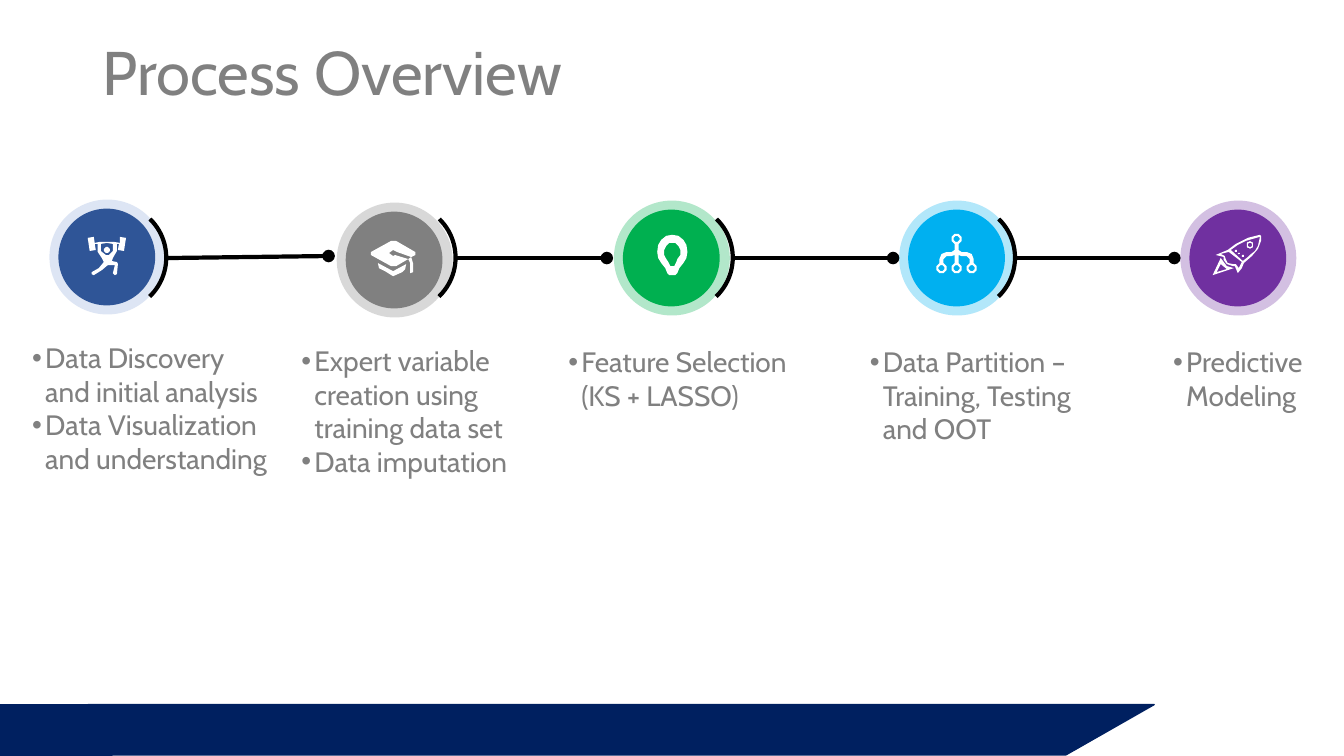
from math import cos, pi, sin

from lxml import etree
from pptx import Presentation
from pptx import util as u
from pptx.dml.color import RGBColor
from pptx.enum import shapes, text
from pptx.oxml import ns

GRID = u.Inches(0.1)
PAGE_COLUMNS, PAGE_ROWS = 133.33, 75
AXIS_ROW = 25.6
ICON_UNIT = u.Inches(0.01)
FONT = "Cabin"
GRAY = RGBColor(0x80, 0x80, 0x80)
NAVY = RGBColor(0x00, 0x20, 0x60)
BLUE = RGBColor(0x2F, 0x55, 0x97)
PALE_BLUE = RGBColor(0x8F, 0xAA, 0xDC)
GREEN = RGBColor(0x00, 0xB0, 0x50)
SKY = RGBColor(0x00, 0xB0, 0xF0)
PURPLE = RGBColor(0x70, 0x30, 0xA0)
BLACK = RGBColor(0, 0, 0)
WHITE = RGBColor(0xFF, 0xFF, 0xFF)


def ring(x, y, radius):
    """Return the outline of a small circle."""
    return [(x + radius * cos(k * pi / 10), y + radius * sin(k * pi / 10)) for k in range(20)]


LIFTER = [
    [(38, 1), (36, 14), (30, 13), (31, 7), (29, 7), (29, 14), (25, 21), (24, 24), (29, 25),
     (30, 27), (29, 37), (27, 38), (25, 36), (27, 28), (20, 28), (14, 33), (6, 38), (4, 37),
     (4, 35), (11, 31), (16, 25), (14, 21), (10, 15), (10, 7), (7, 7), (8, 13), (2, 14),
     (0, 1), (6, 0), (7, 6), (12, 5), (26, 5), (32, 6), (32, 0)],
    [(25, 7), (19, 6), (13, 7), (13, 14), (18, 18), (21, 18), (25, 14)],
    ring(19, 13, 3),
]
CAP = [
    [(8, 23), (9, 28), (15, 31), (23, 36), (32, 32), (35, 29), (36, 24), (23, 31)],
    [(45, 12), (26, 1), (21, 1), (1, 12), (1, 15), (21, 26), (26, 26), (38, 19), (25, 15),
     (23, 16), (19, 13), (23, 10), (27, 12), (41, 17), (45, 15)],
    [(40, 33), (43, 32), (43, 24), (41, 17), (38, 19), (40, 23)],
]
BULB = [
    [(15, 0), (9, 1), (4, 5), (1, 10), (0, 17), (1, 23), (4, 28), (8, 33), (10, 38), (12, 40),
     (18, 40), (20, 38), (22, 33), (26, 28), (29, 23), (30, 17), (29, 10), (26, 5), (21, 1)],
    [(20, 24), (19, 27), (17, 31), (13, 31), (11, 27), (9, 24), (7, 20), (7, 15), (9, 11),
     (12, 8.5), (15, 8), (18, 8.5), (21, 11), (23, 15), (23, 20)],
]
TREE = [
    [(18, 10), (22, 10), (22, 16), (25, 18), (30, 18), (35, 20), (37, 25), (37, 29), (33, 29),
     (33, 25), (30, 22), (25, 22), (22, 21), (22, 29), (18, 29), (18, 21), (15, 22), (10, 22),
     (7, 25), (7, 29), (3, 29), (3, 25), (5, 20), (10, 18), (15, 18), (18, 16)],
    *[ring(x, y, radius) for x, y in ((20, 5), (5, 34), (20, 34), (35, 34)) for radius in (5, 2.7)],
]
ROCKET = [
    [(48, 1), (47, 0), (35, 3), (23, 9), (15, 15), (3, 20), (11, 22), (11, 25), (14, 29),
     (20, 31), (22, 31), (25, 38), (29, 33), (31, 28), (39, 21), (45, 14), (48, 6)],
    [(37, 20), (35, 22), (30, 26), (18, 15), (25, 10), (33, 6), (47, 2), (45, 11), (42, 16)],
    [(8, 19), (16, 17), (29, 27), (26, 33), (23, 29), (20, 29), (15, 28), (13, 24), (12, 21)],
    ring(37, 10, 3.5), ring(37, 10, 2), ring(23, 16, 1), ring(26, 18.5, 1), ring(30, 21, 1),
    [(8, 23), (0, 40), (21, 33), (14, 31)],
    [(4, 37), (8, 29), (14, 34)],
]

STEPS = [
    dict(badge=(4.9, 19.8), color=BLUE, halo=PALE_BLUE, icon=LIFTER, icon_at=(8.7, 23.5),
         arc=5.8, link_end=(32.6, 25.4), notes_box=(2.2, 33.3, 25.5, 14.5),
         notes=["Data Discovery and initial analysis", "Data Visualization and understanding"]),
    dict(badge=(33.4, 20.1), color=GRAY, halo=GRAY, icon=CAP, icon_at=(36.7, 23.8),
         arc=34.5, link_end=(60.2, AXIS_ROW), notes_box=(28.9, 33.6, 25.9, 17.8),
         notes=["Expert variable creation using training data set", "Data imputation"]),
    dict(badge=(60.9, 19.9), color=GREEN, halo=GREEN, icon=BULB, icon_at=(65.2, 23.3),
         arc=62, link_end=(88.6, AXIS_ROW), notes_box=(55.4, 33.7, 25.3, 7.7),
         notes=["Feature Selection (KS + LASSO)"]),
    dict(badge=(89.2, 19.9), color=SKY, halo=SKY, icon=TREE, icon_at=(92.9, 23.2),
         arc=90, link_end=(116.5, AXIS_ROW), notes_box=(85.3, 33.7, 25.9, 11.1),
         notes=["Data Partition – Training, Testing and OOT"]),
    dict(badge=(117.1, 19.9), color=PURPLE, halo=PURPLE, icon=ROCKET, icon_at=(120.3, 23.3),
         arc=None, link_end=None, notes_box=(115.4, 33.7, 21, 7.7),
         notes=["Predictive Modeling"]),
]


def cells(*lengths):
    """Turn grid columns and rows into slide lengths."""
    return [u.Emu(round(length * GRID)) for length in lengths]


def add_solid(page, kind, box, color, alpha=None):
    """Add a filled preset shape without outline."""
    shape = page.shapes.add_shape(kind, *cells(*box))
    shape.shadow.inherit = False
    shape.fill.solid()
    shape.fill.fore_color.rgb = color
    shape.line.fill.background()
    if alpha is not None:
        tint = shape.fill._xPr.find(".//" + ns.qn("a:srgbClr"))
        etree.SubElement(tint, ns.qn("a:alpha"), val=str(alpha * 1000))
    return shape


def add_footer(page, box):
    """Draw the slanted band with its square left end."""
    left, top, width, height = box
    parts = ((shapes.MSO_SHAPE.PARALLELOGRAM, width), (shapes.MSO_SHAPE.RECTANGLE, 11.1))
    for kind, span in parts:
        band = add_solid(page, kind, (left, top, span, height), NAVY)
        band.line.color.rgb = NAVY
        band.line.width = u.Pt(1)
        if kind == shapes.MSO_SHAPE.PARALLELOGRAM:
            band.adjustments[0] = 1.754


def add_text(page, box, lines, size, bullets=False):
    """Write gray paragraphs into a box, with bullets if asked."""
    frame = page.shapes.add_textbox(*cells(*box)).text_frame
    frame.word_wrap = True
    for index, line in enumerate(lines):
        para = frame.paragraphs[0] if index == 0 else frame.add_paragraph()
        para.text = line
        if bullets:
            props = para._p.get_or_add_pPr()
            indent = u.Inches(0.13)
            props.set("marL", str(indent))
            props.set("indent", str(-indent))
            etree.SubElement(props, ns.qn("a:buFont"), typeface="Arial")
            etree.SubElement(props, ns.qn("a:buChar"), char="•")
        para.font.name = FONT
        para.font.size = u.Pt(size)
        para.font.color.rgb = GRAY
    return frame


def add_title(page, box):
    """Write the slide title, centred in height."""
    frame = add_text(page, box, ["Process Overview"], 44)
    frame.vertical_anchor = text.MSO_ANCHOR.MIDDLE
    frame.paragraphs[0].line_spacing = 0.9


def add_icon(page, corner, outlines):
    """Draw a white icon from closed outlines."""
    first, *others = outlines
    builder = page.shapes.build_freeform(*first[0], scale=ICON_UNIT)
    builder.add_line_segments(first[1:], close=True)
    for outline in others:
        builder.move_to(*outline[0])
        builder.add_line_segments(outline[1:], close=True)
    icon = builder.convert_to_shape(*cells(*corner))
    icon.shadow.inherit = False
    icon.fill.solid()
    icon.fill.fore_color.rgb = WHITE
    icon.line.fill.background()


def add_badge(page, box, step):
    """Draw a disc with a pale halo and its icon."""
    left, top, width, height = box
    add_solid(page, shapes.MSO_SHAPE.OVAL, box, step["halo"], 30)
    add_solid(page, shapes.MSO_SHAPE.OVAL, (left + 0.9, top + 0.9, width - 1.9, height - 1.8), step["color"])
    add_icon(page, step["icon_at"], step["icon"])


def add_link(page, box, end):
    """Draw an arc and a dotted-end line to the next step."""
    left, top, width, height = box
    arc = page.shapes.add_shape(shapes.MSO_SHAPE.ARC, *cells(*box))
    arc.shadow.inherit = False
    arc.rotation = 270
    arc.adjustments[0], arc.adjustments[1] = 26.572, 81.761
    arc.fill.background()
    start = (left + width + 0.15, AXIS_ROW)
    link = page.shapes.add_connector(shapes.MSO_CONNECTOR.STRAIGHT, *cells(*start, *end))
    for stroke in (arc, link):
        stroke.line.color.rgb = BLACK
        stroke.line.width = u.Pt(3)
    etree.SubElement(link.line._get_or_add_ln(), ns.qn("a:tailEnd"), type="oval")
    etree.SubElement(link._element.spPr, ns.qn("a:effectLst"))


def add_step(page, step):
    """Place one process step with its badge, link and notes."""
    add_badge(page, (*step["badge"], 11.5, 11.4), step)
    if step["link_end"]:
        add_link(page, (step["arc"], 20.2, 10.7, 10.7), step["link_end"])
    add_text(page, step["notes_box"], step["notes"], 20, bullets=True)


def main():
    """Build and save the slide."""
    deck = Presentation()
    deck.slide_width, deck.slide_height = cells(PAGE_COLUMNS, PAGE_ROWS)
    page = deck.slides.add_slide(deck.slide_layouts[6])
    add_footer(page, (0, 69.9, 114.5, 5))
    add_title(page, (9.2, 2.4, 115, 10.2))
    for step in STEPS:
        add_step(page, step)
    deck.save("out.pptx")


if __name__ == "__main__":
    main()
